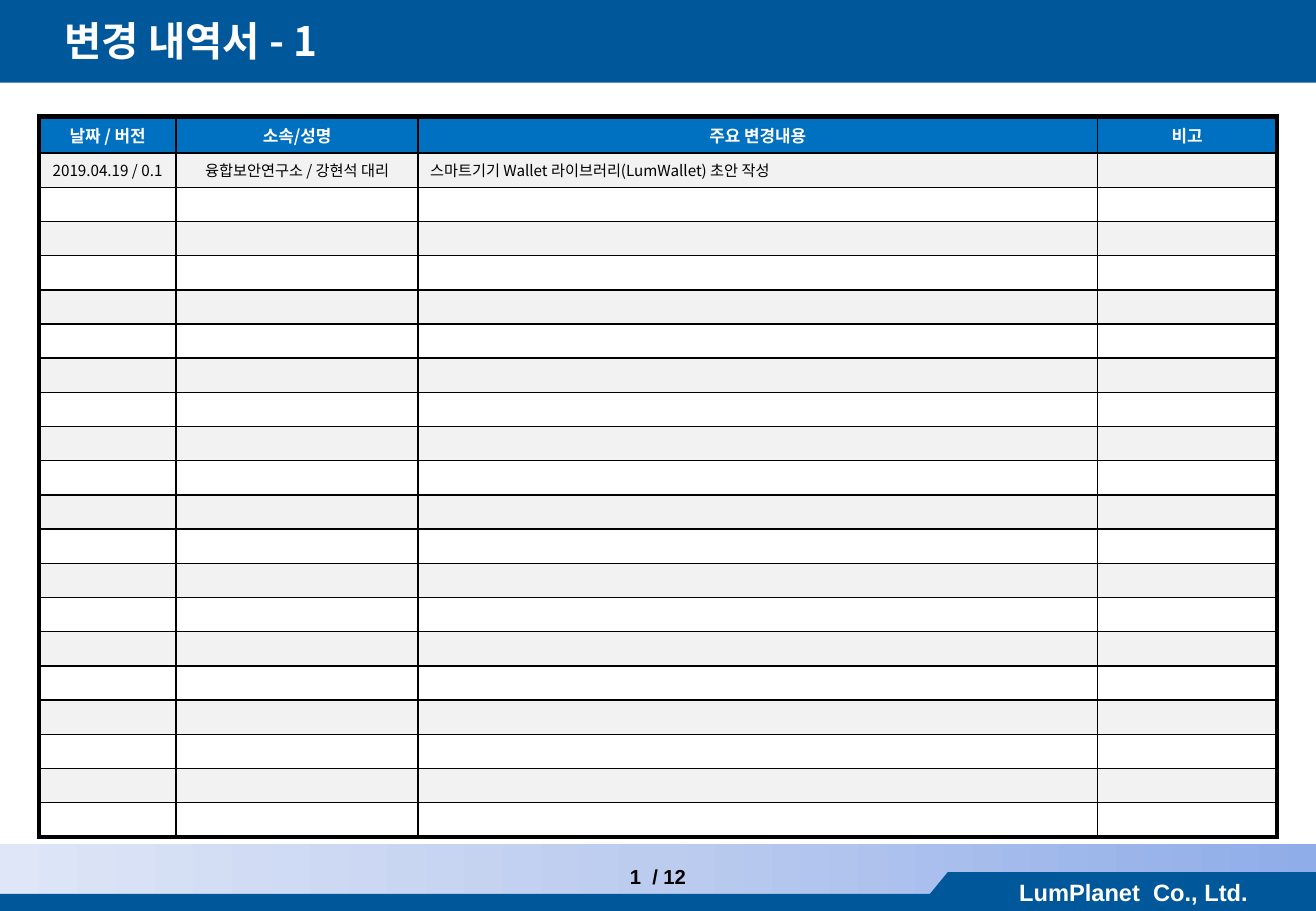
from copy import deepcopy

from lxml import etree
from pptx import Presentation
from pptx.dml.color import RGBColor
from pptx.enum import shapes, text
from pptx.oxml.ns import qn
from pptx.util import Inches, Pt

NAVY = RGBColor(0x00, 0x58, 0x9A)
HEADER_BLUE = RGBColor(0x00, 0x70, 0xC0)
BAND_GRAY = RGBColor(0xF2, 0xF2, 0xF2)
WHITE = RGBColor(0xFF, 0xFF, 0xFF)
BLACK = RGBColor(0x00, 0x00, 0x00)
FOOTER_STOPS = [
    (0, RGBColor(0x8F, 0xAD, 0xE9)),
    (0.5, RGBColor(0xBC, 0xCC, 0xEF)),
    (1, RGBColor(0xDE, 0xE6, 0xF7)),
]
KOREAN, LATIN = "Noto Sans CJK KR", "Arial"

COLUMN_WIDTHS = [1.13, 1.99, 5.59, 1.48]
ROW_COUNT, HEADER_HEIGHT = 21, 0.3
CHANGES = [
    ["날짜 / 버전", "소속/성명", "주요 변경내용", "비고"],
    ["2019.04.19 / 0.1", "융합보안연구소 / 강현석 대리",
     "스마트기기 Wallet 라이브러리(LumWallet) 초안 작성", ""],
]


def write(frame, words, face, size, color, bold=False, align=text.PP_ALIGN.CENTER):
    paragraph = frame.paragraphs[0]
    paragraph.alignment = align
    font = paragraph.font
    font.name, font.size, font.bold = face, Pt(size), bold
    font.color.rgb = color
    properties = paragraph._p.find(qn("a:pPr")).find(qn("a:defRPr"))
    etree.SubElement(properties, qn("a:ea"), typeface=face)
    if words:
        paragraph.add_run().text = words
    else:
        # Empty cells keep the row height of their text size
        end = etree.SubElement(paragraph._p, qn("a:endParaRPr"), sz=str(size * 100))
        for script in ("a:latin", "a:ea"):
            etree.SubElement(end, qn(script), typeface=face)


def paint(shape, color):
    shape.shadow.inherit = False
    shape.fill.solid()
    shape.fill.fore_color.rgb = color
    shape.line.fill.background()


def add_bar(slide, left, top, width, height, color=NAVY):
    bar = slide.shapes.add_shape(shapes.MSO_SHAPE.RECTANGLE, Inches(left),
                                 Inches(top), Inches(width), Inches(height))
    paint(bar, color)
    return bar


def add_text(slide, left, top, width, height):
    box = slide.shapes.add_textbox(Inches(left), Inches(top), Inches(width), Inches(height))
    box.text_frame.word_wrap = True
    return box.text_frame


def add_title(slide, left, top, width, height):
    add_bar(slide, left, top, width, height)
    title = add_text(slide, left + 0.27, top, width - 0.28, height - 0.01)
    title.margin_left = Inches(0.26)
    title.margin_top = title.margin_bottom = 0
    title.vertical_anchor = text.MSO_ANCHOR.MIDDLE
    write(title, "변경 내역서 - 1", KOREAN, 24, WHITE, True, text.PP_ALIGN.LEFT)


def set_borders(cell, widths):
    properties = cell._tc.get_or_add_tcPr()
    for index, (side, width) in enumerate(widths.items()):
        line = etree.Element(qn(f"a:ln{side}"), w=str(Pt(width)))
        fill = etree.SubElement(line, qn("a:solidFill"))
        etree.SubElement(fill, qn("a:srgbClr"), val=str(BLACK))
        properties.insert(index, line)


def add_change_table(slide, left, top, width, height):
    last_row, last_column = ROW_COUNT - 1, len(COLUMN_WIDTHS) - 1
    body_height = (height - HEADER_HEIGHT) / last_row
    table = slide.shapes.add_table(ROW_COUNT, len(COLUMN_WIDTHS), Inches(left),
                                   Inches(top), Inches(width), Inches(height)).table
    table.first_row = table.horz_banding = False
    for column, column_width in zip(table.columns, COLUMN_WIDTHS):
        column.width = Inches(column_width)

    for r, row in enumerate(table.rows):
        header = r == 0
        row.height = Inches(HEADER_HEIGHT if header else body_height)
        entries = CHANGES[r] if r < len(CHANGES) else [""] * len(COLUMN_WIDTHS)
        fill = HEADER_BLUE if header else BAND_GRAY if r % 2 else WHITE
        for c, (cell, words) in enumerate(zip(row.cells, entries)):
            cell.vertical_anchor = text.MSO_ANCHOR.MIDDLE
            cell.fill.solid()
            cell.fill.fore_color.rgb = fill
            align = text.PP_ALIGN.LEFT if c == 2 and not header else text.PP_ALIGN.CENTER
            write(cell.text_frame, words, KOREAN, 10 if header else 9,
                  WHITE if header else BLACK, header, align)
            # Thick frame outside, thin lines inside
            set_borders(cell, {
                "L": 3 if c == 0 else 1,
                "R": 3 if c == last_column else 1,
                "T": 3 if header else 1,
                "B": 3 if r == last_row else 1,
            })


def add_footer_band(slide, left, top, width, height):
    # Gradient from dark on the right to light on the left
    band = add_bar(slide, left, top, width, height)
    band.fill.gradient()
    band.fill.gradient_angle = 180
    stop_list = band._element.find(".//" + qn("a:gsLst"))
    stop_list.insert(1, deepcopy(stop_list[0]))
    for stop, (position, color) in zip(band.fill.gradient_stops, FOOTER_STOPS):
        stop.position = position
        stop.color.rgb = color

    # Base strip with the raised company tab
    add_bar(slide, left, top + 0.41, width, 0.16)
    tab_left, tab_top = left + 7.8, top + 0.23
    builder = slide.shapes.build_freeform(Inches(tab_left - 0.23), Inches(tab_top + 0.28),
                                          scale=1.0)
    builder.add_line_segments([
        (Inches(tab_left), Inches(tab_top + 0.28)),
        (Inches(tab_left), Inches(tab_top)),
    ], close=True)
    paint(builder.convert_to_shape(), NAVY)
    company = add_bar(slide, tab_left, tab_top, 3.06, 0.33).text_frame
    company.vertical_anchor = text.MSO_ANCHOR.MIDDLE
    write(company, "LumPlanet  Co., Ltd.", LATIN, 14, WHITE, True)

    # Page number
    page = add_text(slide, left, top + 0.12, width, 0.33)
    write(page, "1  / 12", LATIN, 12, BLACK, True)


def main():
    deck = Presentation()
    deck.slide_width, deck.slide_height = Inches(10.83), Inches(7.5)
    slide = deck.slides.add_slide(deck.slide_layouts[6])
    add_footer_band(slide, 0, 6.95, 10.83, 0.55)
    add_title(slide, 0, 0, 10.83, 0.68)
    add_change_table(slide, 0.32, 0.96, sum(COLUMN_WIDTHS), 5.93)
    deck.save("out.pptx")


if __name__ == "__main__":
    main()
